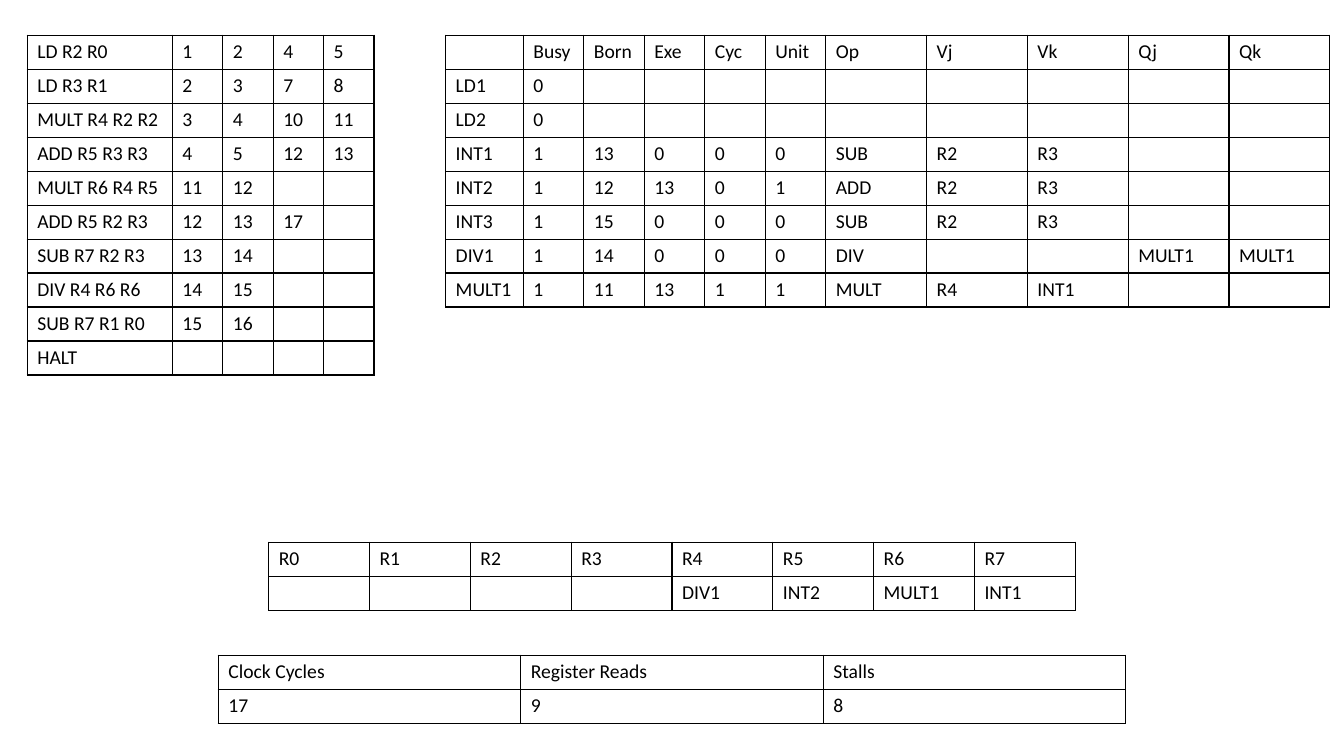
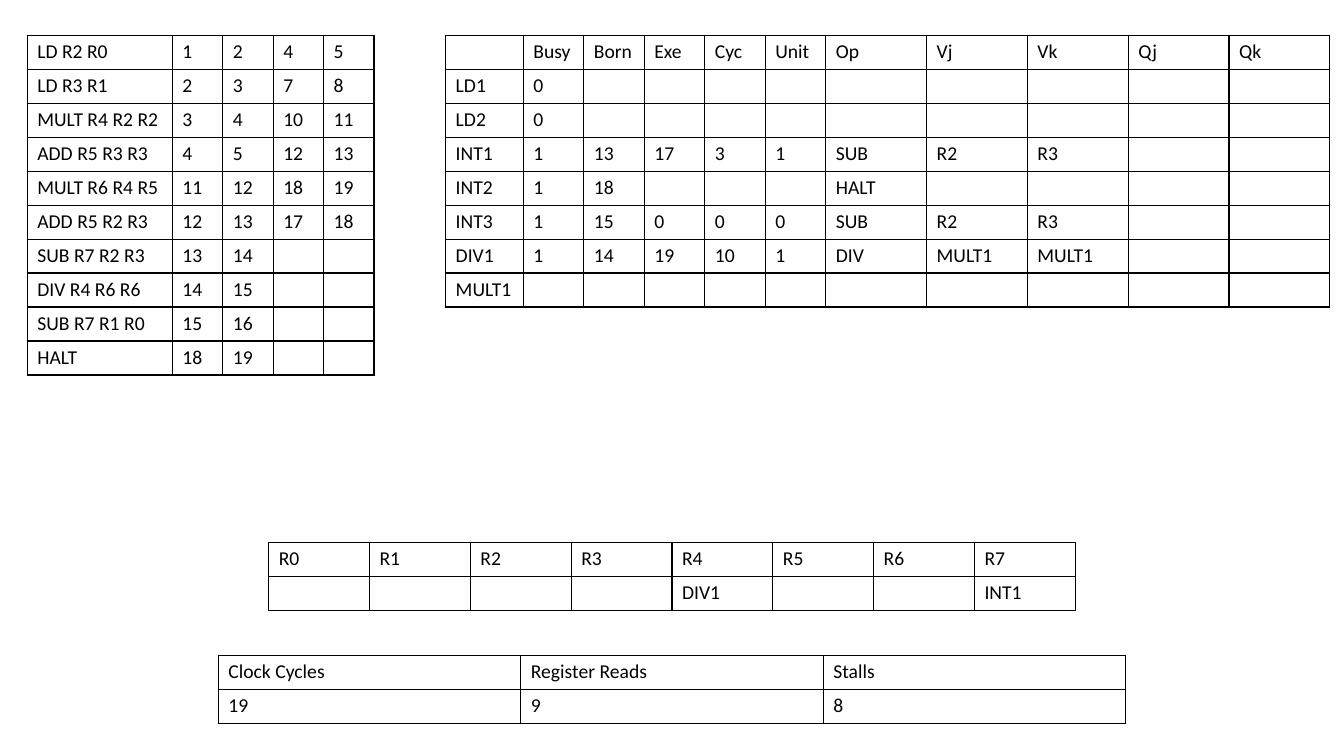
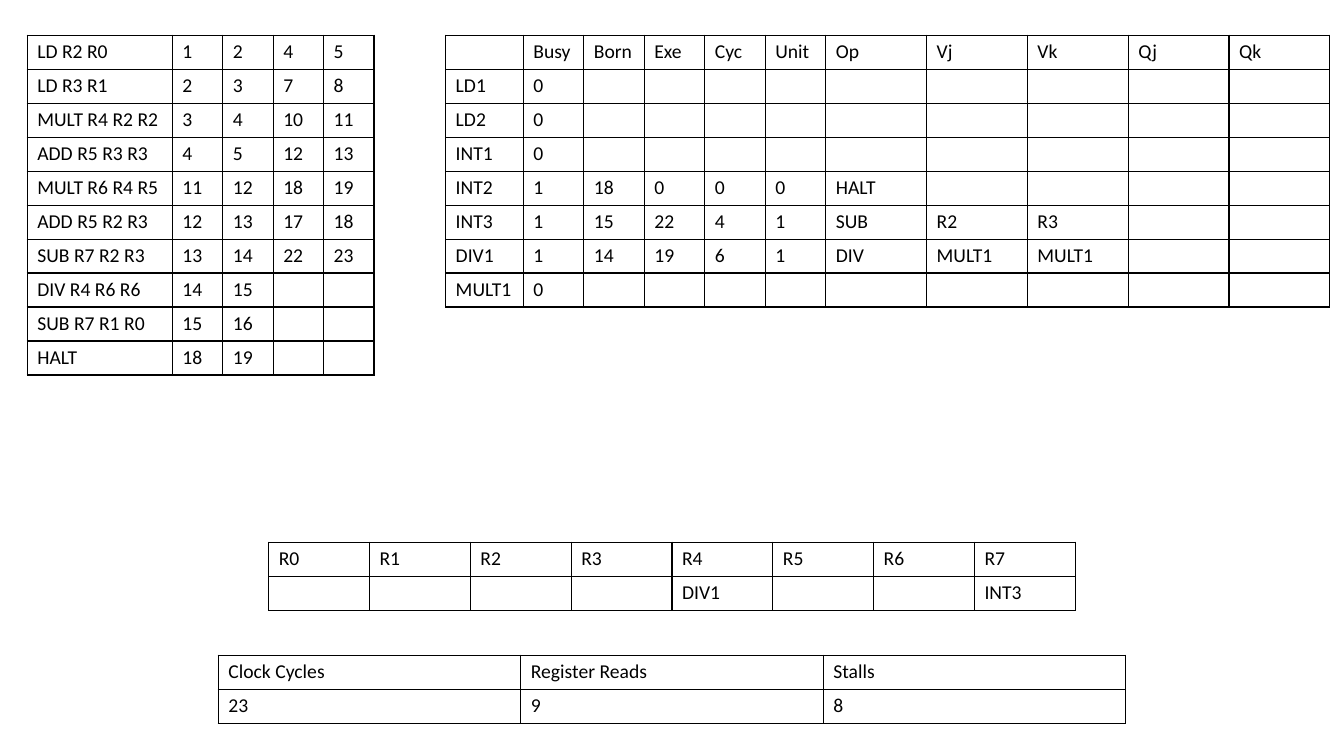
from lxml import etree
from pptx import Presentation
from pptx import util as u
from pptx.dml import color
from pptx.oxml import ns

COLOURS = {"ink": "000000", "line": "000000"}
FONT = "Calibri"
TEXT_SIZE = 14
LINE_WIDTH = 1
SLIDE_WIDTH, SLIDE_HEIGHT = 13.33, 7.5
ROW_HEIGHT = 0.33
TOP = 0.35

INSTRUCTIONS = [
    "LD R2 R0", "LD R3 R1", "MULT R4 R2 R2", "ADD R5 R3 R3", "MULT R6 R4 R5",
    "ADD R5 R2 R3", "SUB R7 R2 R3", "DIV R4 R6 R6", "SUB R7 R1 R0", "HALT",
]
FINISHED_TIMINGS = ["1 2 4 5", "2 3 7 8", "3 4 10 11", "4 5 12 13"]
WAITING_TIMINGS = ["14 15", "15 16"]
STATION_HEADER = ["", "Busy", "Born", "Exe", "Cyc", "Unit", "Op", "Vj", "Vk", "Qj", "Qk"]
STATIONS = ["LD1", "LD2", "INT1", "INT2", "INT3", "DIV1", "MULT1"]
REGISTERS = [f"R{number}" for number in range(8)]
SUMMARY_HEADER = ["Clock Cycles", "Register Reads", "Stalls"]

STATES = [
    {
        "timings": ["11 12", "12 13 17", "13 14", *WAITING_TIMINGS, ""],
        "stations": {
            "LD1": "0", "LD2": "0",
            "INT1": "1,13,0,0,0,SUB,R2,R3",
            "INT2": "1,12,13,0,1,ADD,R2,R3",
            "INT3": "1,15,0,0,0,SUB,R2,R3",
            "DIV1": "1,14,0,0,0,DIV,,,MULT1,MULT1",
            "MULT1": "1,11,13,1,1,MULT,R4,INT1",
        },
        "registers": {"R4": "DIV1", "R5": "INT2", "R6": "MULT1", "R7": "INT1"},
        "summary": ["17", "9", "8"],
    },
    {
        "timings": ["11 12 18 19", "12 13 17 18", "13 14", *WAITING_TIMINGS, "18 19"],
        "stations": {
            "LD1": "0", "LD2": "0",
            "INT1": "1,13,17,3,1,SUB,R2,R3",
            "INT2": "1,18,,,,HALT",
            "INT3": "1,15,0,0,0,SUB,R2,R3",
            "DIV1": "1,14,19,10,1,DIV,MULT1,MULT1",
        },
        "registers": {"R4": "DIV1", "R7": "INT1"},
        "summary": ["19", "9", "8"],
    },
    {
        "timings": ["11 12 18 19", "12 13 17 18", "13 14 22 23", *WAITING_TIMINGS, "18 19"],
        "stations": {
            "LD1": "0", "LD2": "0", "INT1": "0",
            "INT2": "1,18,0,0,0,HALT",
            "INT3": "1,15,22,4,1,SUB,R2,R3",
            "DIV1": "1,14,19,6,1,DIV,MULT1,MULT1",
            "MULT1": "0",
        },
        "registers": {"R4": "DIV1", "R7": "INT3"},
        "summary": ["23", "9", "8"],
    },
]


def set_borders(cell):
    properties = cell._tc.get_or_add_tcPr()
    for side in ("a:lnL", "a:lnR", "a:lnT", "a:lnB"):
        line = etree.SubElement(properties, ns.qn(side), w=str(u.Pt(LINE_WIDTH)))
        fill = etree.SubElement(line, ns.qn("a:solidFill"))
        etree.SubElement(fill, ns.qn("a:srgbClr"), val=COLOURS["line"])


def write_cell(cell, words):
    set_borders(cell)
    cell.fill.background()
    paragraph = cell.text_frame.paragraphs[0]
    if not words:
        etree.SubElement(paragraph._p, ns.qn("a:endParaRPr"), sz=str(TEXT_SIZE * 100))
        return
    run = paragraph.add_run()
    run.text = words
    run.font.name = FONT
    run.font.size = u.Pt(TEXT_SIZE)
    run.font.color.rgb = color.RGBColor.from_string(COLOURS["ink"])


def add_grid(slide, left, top, widths, rows):
    frame = slide.shapes.add_table(
        len(rows), len(widths), u.Inches(left), u.Inches(top),
        u.Inches(sum(widths)), u.Inches(ROW_HEIGHT * len(rows)))
    table = frame.table
    table.first_row = False
    table.horz_banding = False
    for column, width in zip(table.columns, widths):
        column.width = u.Inches(width)
    for row_index, row in enumerate(rows):
        table.rows[row_index].height = u.Inches(ROW_HEIGHT)
        for column_index in range(len(widths)):
            words = row[column_index] if column_index < len(row) else ""
            write_cell(table.cell(row_index, column_index), words)


def add_centred_grid(slide, top, column_width, rows):
    widths = [column_width] * len(rows[0])
    add_grid(slide, (SLIDE_WIDTH - sum(widths)) / 2, top, widths, rows)


def add_instructions(slide, left, top, timings):
    rows = [[name, *cycles.split()]
            for name, cycles in zip(INSTRUCTIONS, FINISHED_TIMINGS + timings)]
    add_grid(slide, left, top, [1.44] + [0.5] * 4, rows)


def add_stations(slide, left, top, stations):
    rows = [[name, *stations.get(name, "").split(",")] for name in STATIONS]
    add_grid(slide, left, top, [0.77] + [0.6] * 5 + [1] * 5, [STATION_HEADER] + rows)


def add_state_slide(presentation, state):
    slide = presentation.slides.add_slide(presentation.slide_layouts[6])
    add_instructions(slide, 0.27, TOP, state["timings"])
    add_stations(slide, 4.42, TOP, state["stations"])
    owners = [state["registers"].get(name, "") for name in REGISTERS]
    add_centred_grid(slide, 5.38, 1, [REGISTERS, owners])
    add_centred_grid(slide, 6.5, 3, [SUMMARY_HEADER, state["summary"]])


def main():
    presentation = Presentation()
    presentation.slide_width = u.Inches(SLIDE_WIDTH)
    presentation.slide_height = u.Inches(SLIDE_HEIGHT)
    for state in STATES:
        add_state_slide(presentation, state)
    presentation.save("out.pptx")


if __name__ == "__main__":
    main()
